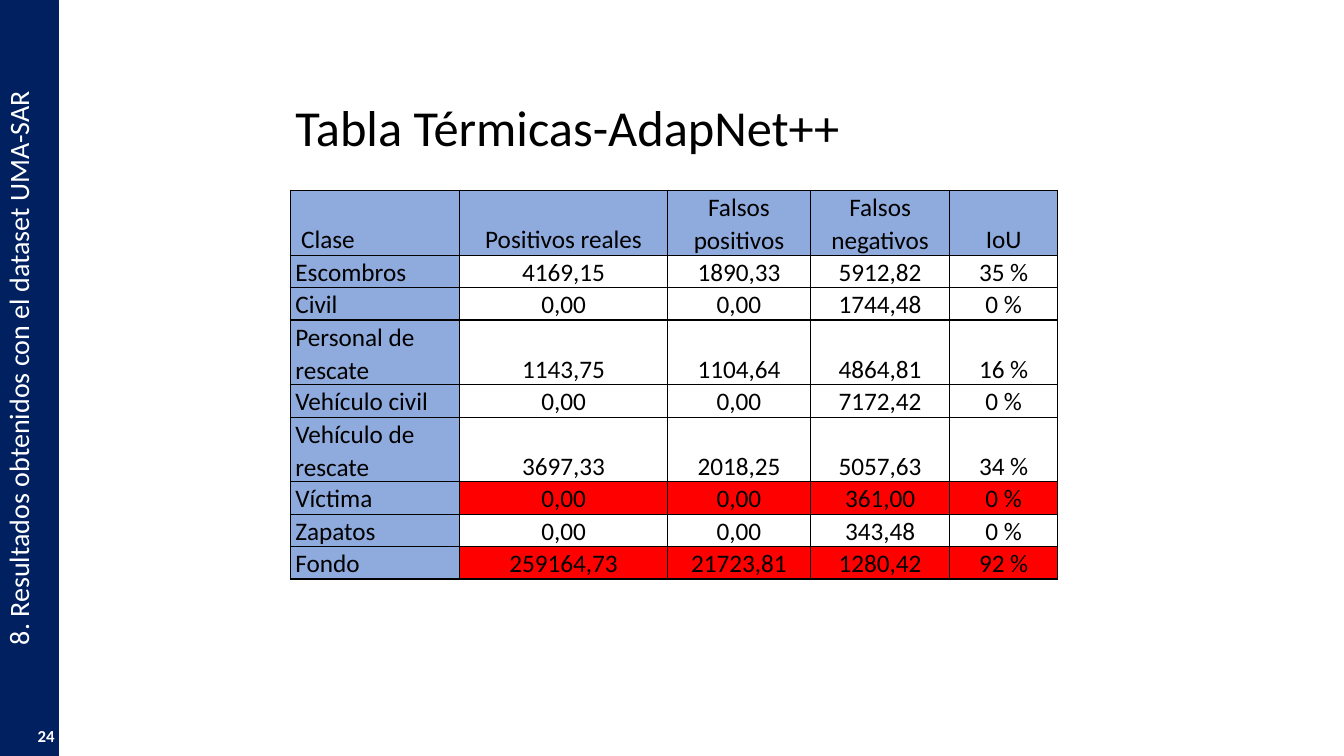
from lxml import etree
from pptx import Presentation
from pptx.dml.color import RGBColor
from pptx.enum.shapes import MSO_SHAPE
from pptx.enum.text import MSO_ANCHOR, PP_ALIGN
from pptx.oxml.ns import qn
from pptx.util import Inches, Pt

RECTANGLE = MSO_SHAPE.RECTANGLE
LEFT, CENTER, RIGHT = PP_ALIGN.LEFT, PP_ALIGN.CENTER, PP_ALIGN.RIGHT
TOP, MIDDLE, BOTTOM = MSO_ANCHOR.TOP, MSO_ANCHOR.MIDDLE, MSO_ANCHOR.BOTTOM

FONT = "Calibri"
NAVY, BLUE, RED = "002060", "8FAADC", "FF0000"
BLACK, WHITE = "000000", "FFFFFF"

COLUMN_WIDTHS = [1.68, 2.06, 1.42, 1.38, 1.07]
ROW_HEIGHT = 0.2
RESULTS = [
    [" Clase", "Positivos reales", "Falsos positivos", "Falsos negativos", "IoU"],
    ["Escombros", "4169,15", "1890,33", "5912,82", "35 %"],
    ["Civil", "0,00", "0,00", "1744,48", "0 %"],
    ["Personal de rescate", "1143,75", "1104,64", "4864,81", "16 %"],
    ["Vehículo civil", "0,00", "0,00", "7172,42", "0 %"],
    ["Vehículo de rescate", "3697,33", "2018,25", "5057,63", "34 %"],
    ["Víctima", "0,00", "0,00", "361,00", "0 %"],
    ["Zapatos", "0,00", "0,00", "343,48", "0 %"],
    ["Fondo", "259164,73", "21723,81", "1280,42", "92 %"],
]
HIGHLIGHTED_CLASSES = {"Víctima", "Fondo"}


def rgb(color):
    return RGBColor.from_string(color)


def write_text(text_frame, text, size=18, color=BLACK, bold=False,
               align=LEFT, line_spacing=1.0, space_after=0):
    text_frame.word_wrap = True
    paragraph = text_frame.paragraphs[0]
    paragraph.text = text
    paragraph.alignment = align
    paragraph.line_spacing = line_spacing
    paragraph.space_after = Pt(space_after)
    font = paragraph.font
    font.name, font.size, font.bold = FONT, Pt(size), bold
    font.color.rgb = rgb(color)


def add_text_box(slide, text, left, top, width, height, **text_format):
    box = slide.shapes.add_textbox(
        Inches(left), Inches(top), Inches(width), Inches(height))
    box.text_frame.vertical_anchor = MIDDLE
    write_text(box.text_frame, text, **text_format)


def add_section_bar(slide, text):
    bar = slide.shapes.add_shape(
        RECTANGLE, Inches(-3.46), Inches(3.46), Inches(7.5), Inches(0.58))
    bar.rotation = 270
    bar.shadow.inherit = False
    bar.fill.solid()
    bar.fill.fore_color.rgb = rgb(NAVY)
    bar.line.color.rgb = rgb(NAVY)
    bar.line.width = Pt(0.75)
    bar.text_frame.vertical_anchor = TOP
    bar.text_frame.margin_left = Inches(1.1)
    write_text(bar.text_frame, text, size=20, color=WHITE, line_spacing=0.9)


def set_cell_borders(cell, color, width):
    """Put borders ahead of the fill, as the schema requires."""
    properties = cell._tc.get_or_add_tcPr()
    for position, side in enumerate(("lnL", "lnR", "lnT", "lnB")):
        line = etree.Element(qn(f"a:{side}"), w=str(Pt(width)))
        fill = etree.SubElement(line, qn("a:solidFill"))
        etree.SubElement(fill, qn("a:srgbClr"), val=color)
        properties.insert(position, line)


def format_cell(cell, text, fill, align):
    cell.margin_left = cell.margin_right = Inches(0.05)
    cell.margin_top = cell.margin_bottom = 0
    cell.vertical_anchor = BOTTOM
    if fill:
        cell.fill.solid()
        cell.fill.fore_color.rgb = rgb(fill)
    else:
        cell.fill.background()
    set_cell_borders(cell, BLACK, 1)
    write_text(cell.text_frame, text, align=align,
               line_spacing=1.07, space_after=8)


def add_results_table(slide, left, top):
    table = slide.shapes.add_table(
        len(RESULTS), len(COLUMN_WIDTHS), Inches(left), Inches(top),
        Inches(sum(COLUMN_WIDTHS)), Inches(ROW_HEIGHT * len(RESULTS))).table
    table.first_row = table.horz_banding = False
    for column, width in zip(table.columns, COLUMN_WIDTHS):
        column.width = Inches(width)
    for row, values in enumerate(RESULTS):
        for column, value in enumerate(values):
            if row == 0 or column == 0:
                fill = BLUE
            else:
                fill = RED if values[0] in HIGHLIGHTED_CLASSES else None
            align = CENTER if column else LEFT
            format_cell(table.cell(row, column), value, fill, align)


def main():
    presentation = Presentation()
    presentation.slide_width = Inches(13.33)
    presentation.slide_height = Inches(7.5)
    slide = presentation.slides.add_slide(presentation.slide_layouts[6])
    add_section_bar(slide, "8. Resultados obtenidos con el dataset UMA-SAR")
    add_text_box(slide, "24", 0, 7.1, 0.64, 0.4,
                 size=12, color=WHITE, bold=True, align=RIGHT)
    add_results_table(slide, 2.88, 1.89)
    add_text_box(slide, "Tabla Térmicas-AdapNet++", 2.83, 0.57, 9.75, 1.45,
                 size=36, line_spacing=0.9)
    presentation.save("out.pptx")


if __name__ == "__main__":
    main()
